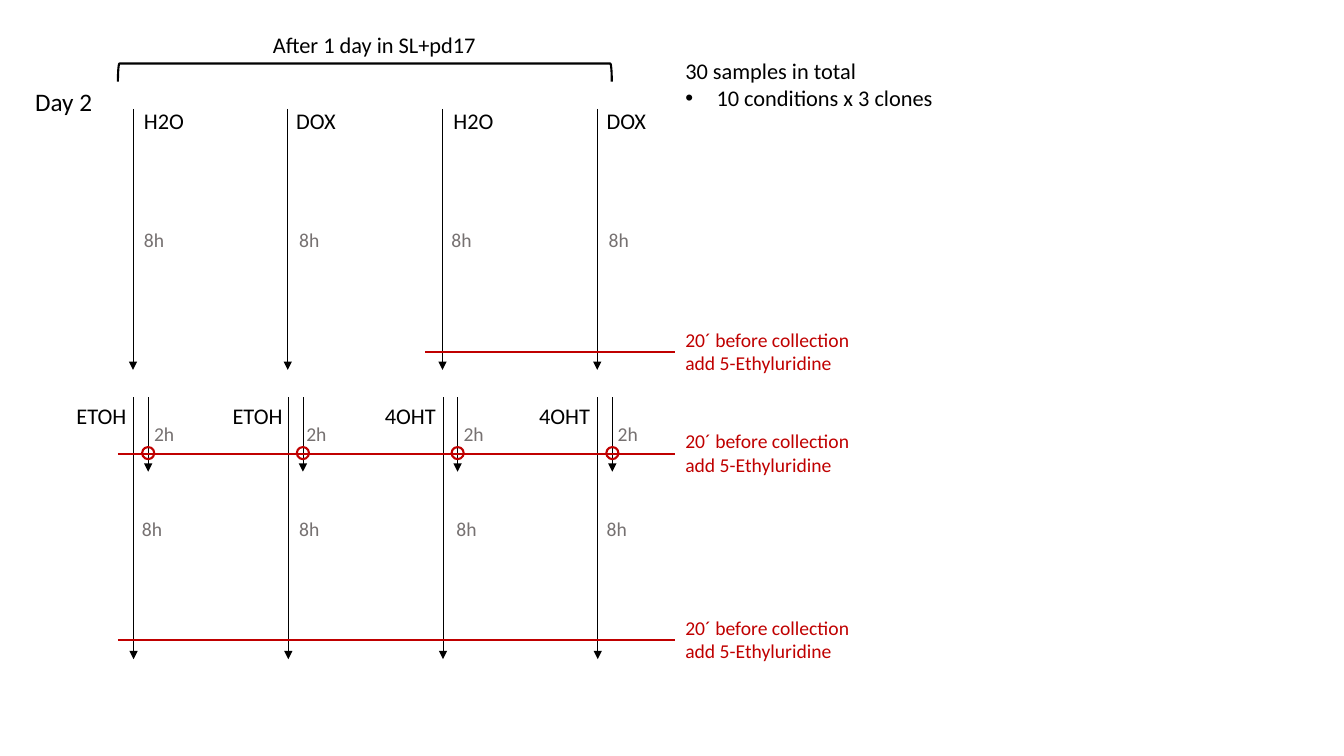
from lxml import etree
from pptx import Presentation, util as u
from pptx.dml.color import RGBColor
from pptx.enum import shapes, text
from pptx.oxml import ns

COLORS = {"ink": "000000", "time": "767171", "label": "C00000"}
FONT = "Calibri"
# The slide is a grid of 0.1 inch cells; every length below counts cells.
COLS, ROWS = 133.33, 75
LANES = [13.2 + 15.35 * i for i in range(4)]
LABEL_END = 67


def cells(n):
    """Turn a number of grid cells into a length."""
    return u.Inches(n / 10)


def rgb(name):
    """Look up a named colour."""
    return RGBColor.from_string(COLORS[name])


def add_child(parent, tag, **attrs):
    """Append a drawing element with its attributes."""
    return etree.SubElement(parent, ns.qn(tag), **attrs)


def add_line(s, start, end, color, width, arrow=False):
    """Draw a straight line, with an arrowhead at its end if asked."""
    points = [cells(n) for n in (*start, *end)]
    c = s.shapes.add_connector(shapes.MSO_CONNECTOR.STRAIGHT, *points)
    c.line.color.rgb = rgb(color)
    c.line.width = u.Pt(width)
    if arrow:
        add_child(c.line._get_or_add_ln(), "a:tailEnd", type="triangle")
    add_child(c._element.spPr, "a:effectLst")


def add_outline(s, kind, box, color, rotation=0):
    """Draw an unfilled preset shape."""
    sp = s.shapes.add_shape(kind, *[cells(n) for n in box])
    sp.rotation = rotation
    sp.shadow.inherit = False
    sp.fill.background()
    sp.line.color.rgb = rgb(color)
    sp.line.width = u.Pt(1.5)


def add_text(s, content, box, size, color="ink"):
    """Place unwrapped text and return its paragraphs."""
    tf = s.shapes.add_textbox(*[cells(n) for n in box]).text_frame
    tf.word_wrap = False
    tf.auto_size = text.MSO_AUTO_SIZE.SHAPE_TO_FIT_TEXT
    tf.text = content
    for p in tf.paragraphs:
        for r in p.runs:
            r.font.name = FONT
            r.font.size = u.Pt(size)
            r.font.color.rgb = rgb(color)
    return tf.paragraphs


def add_bullet(p):
    """Give a paragraph a round bullet and a hanging indent."""
    pPr = p._p.get_or_add_pPr()
    indent = cells(3.1)
    pPr.set("marL", str(indent))
    pPr.set("indent", str(-indent))
    add_child(pPr, "a:buFont", typeface="Arial")
    add_child(pPr, "a:buChar", char="•")


def add_lane(s, x):
    """Draw the treatment arrows of one lane and its collection ring."""
    for dx, top, bottom in ((0, 10.8, 36.7), (0.05, 39.4, 65.4), (1.5, 39.4, 46.8)):
        add_line(s, (x + dx, top), (x + dx, bottom), "ink", 0.5, arrow=True)
    add_outline(s, shapes.MSO_SHAPE.OVAL, (x + 0.9, 44.35, 1.2, 1.2), "label")


def add_lane_texts(s, words, offsets, top, size, width, color="ink"):
    """Write one word per lane, each offset from the lane's arrow."""
    height = 3.4 if size == 14 else 3.7
    for x, word, dx in zip(LANES, words, offsets):
        add_text(s, word, (x + dx, top, width, height), size, color)


def add_labelling(s, left, y, text_top):
    """Mark a labelling time with a red line and its instruction."""
    add_line(s, (left, y), (LABEL_END, y), "label", 1.5)
    add_text(s, "20´ before collection\nadd 5-Ethyluridine",
             (LABEL_END, text_top, 18.5, 5.7), 14, "label")


def main():
    """Build the treatment timeline slide."""
    prs = Presentation()
    prs.slide_width, prs.slide_height = cells(COLS), cells(ROWS)
    s = prs.slides.add_slide(prs.slide_layouts[6])

    for x in LANES:
        add_lane(s, x)
    add_outline(s, shapes.MSO_SHAPE.RIGHT_BRACKET, (35.3, -17.3, 1.8, 49), "ink", 270)
    add_text(s, "After 1 day in SL+pd17", (26.1, 2.6, 22.4, 3.7), 16)
    add_text(s, "Day 2", (2.5, 8.1, 7.7, 4), 18)

    add_lane_texts(s, ["H2O", "DOX"] * 2, (0.1, -0.15, 0.1, -0.05), 10.1, 16, 6.1)
    add_lane_texts(s, ["8h"] * 4, (0.1, 0.15, -0.1, 0.15), 22.1, 14, 4.1, "time")
    add_lane_texts(s, ["ETOH"] * 2 + ["4OHT"] * 2, (-6.6, -6.45, -6.7, -6.75),
                   39.4, 16, 7.3)
    add_lane_texts(s, ["2h"] * 4, (1.1, 0.85, 1.1, 1.05), 41.4, 14, 4.1, "time")
    add_lane_texts(s, ["8h"] * 4, (-0.1, 0.15, 0.4, -0.05), 50.8, 14, 4.1, "time")

    for left, y, text_top in ((42.2, 34.9, 32), (11.7, 45, 42.1), (11.7, 63.5, 60.6)):
        add_labelling(s, left, y, text_top)
    summary = add_text(s, "30 samples in total\n10 conditions x 3 clones",
                       (LABEL_END, 5.2, 26.9, 6.4), 16)
    add_bullet(summary[1])
    prs.save("out.pptx")


main()
